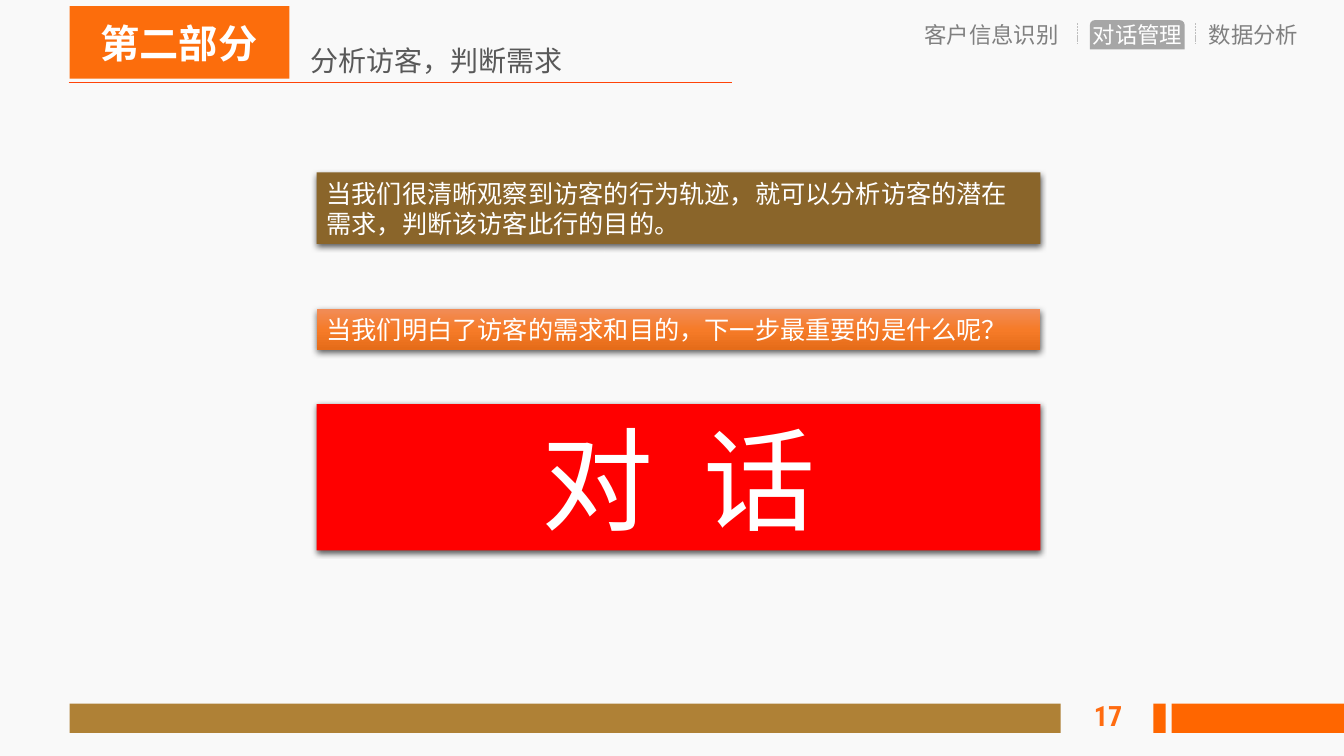
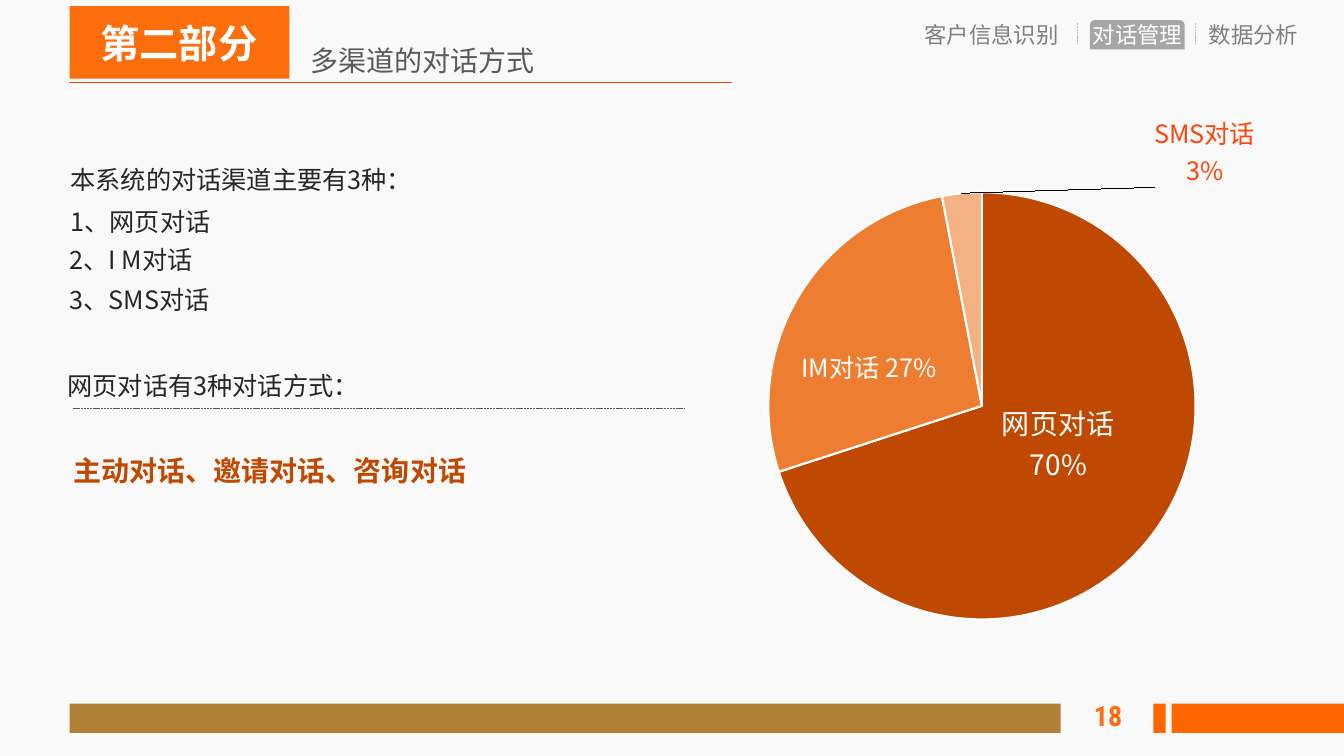
from lxml import etree
from pptx import Presentation
from pptx.chart import data as chart_data
from pptx.dml import color
from pptx.enum import chart as chart_enum, dml, shapes, text
from pptx.oxml import ns, parse_xml
from pptx.util import Inches, Pt

SANS = "Noto Sans CJK SC"
WHITE = "FFFFFF"
GREY = "808080"
INK = "262626"
ORANGE = "FF6600"
RUST = "BF4901"
BAND_TOP, BAND_HEIGHT = 6.98, 0.29
SHADOW = (
    f'<a:effectLst {ns.nsdecls("a")}>'
    '<a:outerShdw blurRad="57150" dist="19050" dir="5400000" algn="ctr" rotWithShape="0">'
    '<a:srgbClr val="000000"><a:alpha val="63000"/></a:srgbClr></a:outerShdw></a:effectLst>'
)


def rgb(value):
    return color.RGBColor.from_string(value)


def paint(target, value):
    target.solid()
    target.fore_color.rgb = rgb(value)


def add_run(paragraph, words, size, value, bold=False, font=SANS):
    run = paragraph.add_run()
    run.text = words
    run.font.size = Pt(size)
    run.font.bold = bold
    run.font.name = font
    paint(run.font.fill, value)
    properties = run.font._element
    etree.SubElement(properties, ns.qn("a:ea")).set("typeface", font)
    return run


def add_words(slide, box, words, size, value, bold=False, wrap=False,
              font=SANS, align=text.PP_ALIGN.LEFT, anchor=text.MSO_ANCHOR.TOP):
    frame = slide.shapes.add_textbox(*map(Inches, box)).text_frame
    frame.word_wrap = wrap
    frame.auto_size = text.MSO_AUTO_SIZE.SHAPE_TO_FIT_TEXT
    frame.vertical_anchor = anchor
    paragraph = frame.paragraphs[0]
    paragraph.alignment = align
    add_run(paragraph, words, size, value, bold, font)


def add_block(slide, box, value, preset=shapes.MSO_SHAPE.RECTANGLE):
    block = slide.shapes.add_shape(preset, *map(Inches, box))
    block.shadow.inherit = False
    paint(block.fill, value)
    block.line.fill.background()
    return block


def add_rule(slide, start, end, value, width, dashed=False):
    rule = slide.shapes.add_connector(
        shapes.MSO_CONNECTOR.STRAIGHT, *map(Inches, start + end))
    rule.line.width = Pt(width)
    paint(rule.line.fill, value)
    if dashed:
        rule.line.dash_style = dml.MSO_LINE.SQUARE_DOT
    etree.SubElement(rule._element.spPr, ns.qn("a:effectLst"))


def add_banner(slide, top, height, value, words, size, align=text.PP_ALIGN.LEFT):
    banner = add_block(slide, (3.14, top, 7.18, height), value)
    properties = banner._element.spPr
    properties.replace(properties.find(ns.qn("a:effectLst")), parse_xml(SHADOW))
    frame = banner.text_frame
    frame.word_wrap = True
    paragraph = frame.paragraphs[0]
    paragraph.alignment = align
    return banner, add_run(paragraph, words, size, WHITE)


def shade(banner, colours):
    step = 100000 // (len(colours) - 1)
    stops = "".join(
        f'<a:gs pos="{i * step}"><a:srgbClr val="{c}"/></a:gs>'
        for i, c in enumerate(colours))
    gradient = parse_xml(
        f'<a:gradFill {ns.nsdecls("a")} rotWithShape="1"><a:gsLst>{stops}</a:gsLst>'
        '<a:lin ang="5400000" scaled="0"/></a:gradFill>')
    properties = banner._element.spPr
    properties.replace(properties.find(ns.qn("a:solidFill")), gradient)


def add_page(deck, number, title):
    slide = deck.slides.add_slide(deck.slide_layouts[6])
    paint(slide.background.fill, "F9F9F9")
    add_block(slide, (10.81, 0.2, 0.94, 0.29), "A6A6A6",
              shapes.MSO_SHAPE.ROUND_2_SAME_RECTANGLE)
    for left, width, topic, value in (
            (9.07, 1.55, "客户信息识别", GREY),
            (10.74, 1.1, "对话管理", WHITE),
            (11.89, 1.1, "数据分析", GREY)):
        add_words(slide, (left, 0.16, width, 0.37), topic, 16, value)
    for x in (10.69, 11.86):
        add_rule(slide, (x, 0.23), (x, 0.43), "BFBFBF", 0.5, dashed=True)
    add_block(slide, (0.69, 0.06, 2.18, 0.72), "FC6D0C")
    add_words(slide, (0.9, 0.14, 1.77, 0.57), "第二部分", 28, WHITE, bold=True)
    add_rule(slide, (0.68, 0.82), (7.26, 0.82), "FF4409", 1)
    for left, width, value in (
            (0.69, 9.83, "AF8136"), (11.44, 0.12, ORANGE), (11.62, 1.73, ORANGE)):
        add_block(slide, (left, BAND_TOP, width, BAND_HEIGHT), value)
    add_words(slide, (8.23, 6.9, 3, 0.4), str(number), 20, "FF6C11", bold=True,
              wrap=True, font="Roboto Condensed", align=text.PP_ALIGN.RIGHT,
              anchor=text.MSO_ANCHOR.MIDDLE)
    add_words(slide, (2.98, 0.38, 2.73, 0.44), title, 20, "595959")
    return slide


def manual_layout(x, y, width=None, height=None):
    entries = [("xMode", "edge"), ("yMode", "edge")] if width else []
    entries += [("x", x), ("y", y)]
    if width:
        entries = [("layoutTarget", "inner")] + entries + [("w", width), ("h", height)]
    body = "".join(f'<c:{tag} val="{value}"/>' for tag, value in entries)
    return parse_xml(f'<c:layout {ns.nsdecls("c")}><c:manualLayout>{body}'
                     '</c:manualLayout></c:layout>')


def add_share_pie(slide, box, slices):
    shares = chart_data.CategoryChartData(number_format="0%")
    shares.categories = [channel for channel, *_ in slices]
    shares.add_series("对话渠道", [share for _, share, *_ in slices])
    pie = slide.shapes.add_chart(
        chart_enum.XL_CHART_TYPE.PIE, *map(Inches, box), shares).chart
    pie.has_legend = False
    pie.has_title = False
    pie.font.name = "Calibri"
    pie.font.size = Pt(10)
    pie.font.color.rgb = rgb("000000")
    plot_area = pie._chartSpace.chart.plotArea
    for old in plot_area.findall(ns.qn("c:layout")):
        plot_area.remove(old)
    plot_area.insert(0, manual_layout(0.159, 0.192, 0.596, 0.72))
    pie.plots[0].vary_by_categories = True
    series = pie.plots[0].series[0]
    labels = series.data_labels
    labels.show_value = True
    labels.show_category_name = True
    labels.number_format = "0%"
    labels.number_format_is_linked = False
    labels.position = chart_enum.XL_LABEL_POSITION.BEST_FIT
    for i, (_, _, value, lines, size, ink, offset) in enumerate(slices):
        point = series.points[i]
        paint(point.format.fill, value)
        paint(point.format.line.fill, WHITE)
        point.format.line.width = Pt(1.5)
        label = point.data_label
        frame = label.text_frame
        frame.word_wrap = False
        for n, line in enumerate(lines):
            paragraph = frame.add_paragraph() if n else frame.paragraphs[0]
            add_run(paragraph, line, size, ink)
        label.position = chart_enum.XL_LABEL_POSITION.BEST_FIT
        labels._element.findall(ns.qn("c:dLbl"))[i].insert(1, manual_layout(*offset))


def build_needs(deck):
    slide = add_page(deck, 17, "分析访客，判断需求")
    add_banner(slide, 1.71, 0.71, "8A652A",
               "当我们很清晰观察到访客的行为轨迹，就可以分析访客的潜在需求，判断该访客此行的目的。", 18)
    question, _ = add_banner(slide, 3.07, 0.4, "F67B28",
                             "当我们明白了访客的需求和目的，下一步最重要的是什么呢？", 18)
    shade(question, ("F18C57", "F67B28", "E56C19"))
    _, answer = add_banner(slide, 4.01, 1.45, "FF0000", "对 话", 80,
                           text.PP_ALIGN.CENTER)
    answer.font._element.set("spc", "900")


def build_channels(deck):
    slide = add_page(deck, 18, "多渠道的对话方式")
    add_share_pie(slide, (6.49, 0.71, 7.11, 6.01), (
        ("网页对话", 0.7, RUST, ("网页对话", "70%"), 20, WHITE, (-0.22, -0.22)),
        ("IM对话", 0.27, "ED7D31", ("IM对话 27%",), 18, WHITE, (0.2, 0.15)),
        ("SMS对话", 0.03, "F4B183", ("SMS对话", "3%"), 18, "FF4409", (0.41, 0)),
    ))
    for left, top, words in (
            (0.6, 1.58, "本系统的对话渠道主要有3种："),
            (0.6, 2, "1、网页对话"),
            (0.59, 2.37, "2、I M对话"),
            (0.59, 2.77, "3、SMS对话"),
            (0.57, 3.62, "网页对话有3种对话方式：")):
        add_words(slide, (left, top, 6.31, 0.4), words, 18, INK, wrap=True)
    add_rule(slide, (0.72, 4.05), (6.79, 4.05), "595959", 0.5, dashed=True)
    add_words(slide, (0.63, 4.45, 4.13, 0.44), "主动对话、邀请对话、咨询对话",
              20, RUST, bold=True)


def main():
    deck = Presentation()
    deck.slide_width, deck.slide_height = Inches(13.33), Inches(7.5)
    build_needs(deck)
    build_channels(deck)
    deck.save("out.pptx")


if __name__ == "__main__":
    main()
